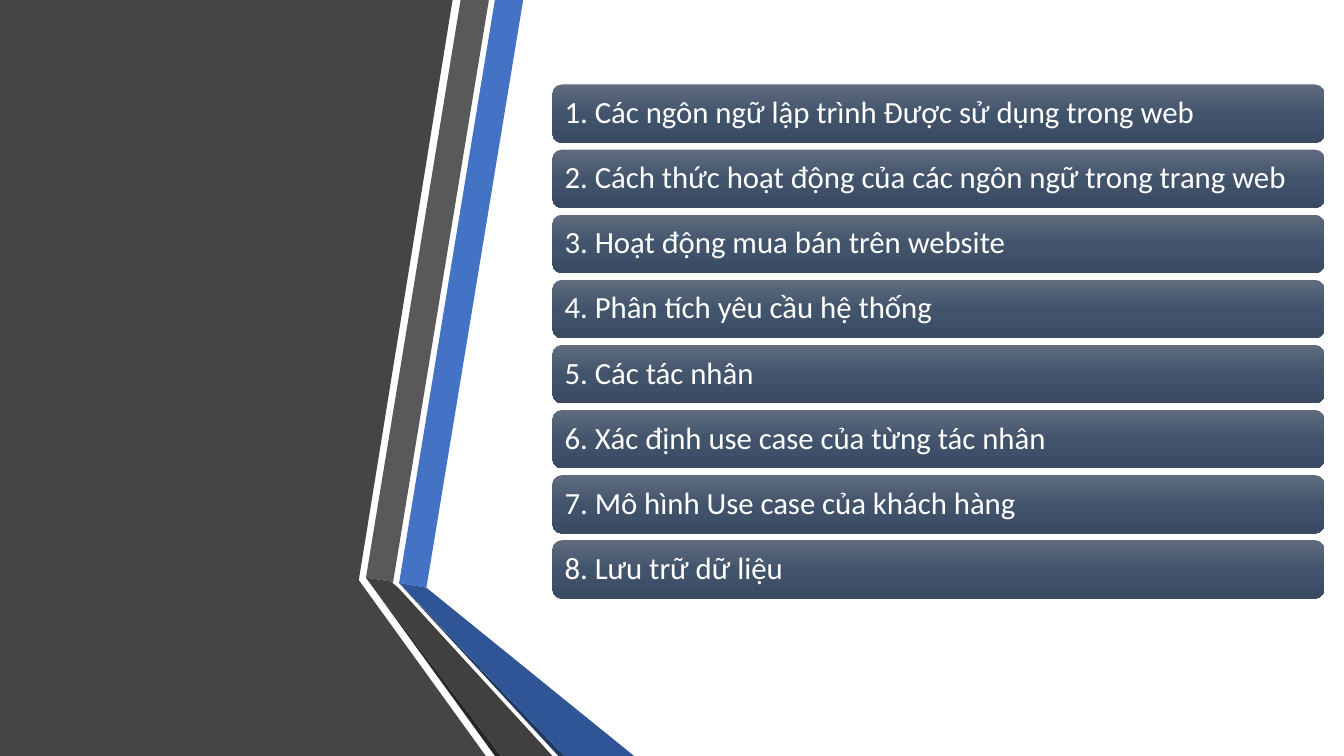
from copy import deepcopy

from pptx import Presentation
from pptx.dml.color import RGBColor
from pptx.enum.shapes import MSO_SHAPE
from pptx.enum.text import MSO_ANCHOR, PP_ALIGN
from pptx.oxml.ns import qn
from pptx.util import Pt

WHITE = RGBColor(0xFF, 0xFF, 0xFF)
PANEL_GREY = RGBColor(0x45, 0x45, 0x45)
BAND_GREY = RGBColor(0x59, 0x59, 0x59)
FOLD_GREY = RGBColor(0x40, 0x40, 0x40)
EDGE_GREY = RGBColor(0x26, 0x26, 0x26)
BAND_BLUE = RGBColor(0x44, 0x72, 0xC4)
FOLD_BLUE = RGBColor(0x2F, 0x55, 0x97)
EDGE_BLUE = RGBColor(0x20, 0x38, 0x64)
BAR_GRADIENT = [
    (0, RGBColor(0x60, 0x6B, 0x7D)),
    (0.5, RGBColor(0x42, 0x54, 0x6C)),
    (1, RGBColor(0x39, 0x4A, 0x62)),
]

# Outlines in points, from back to front
RIBBONS = [
    (PANEL_GREY, [(0, 0), (323.3, 0), (256.3, 414.4), (347, 540), (0, 540)]),
    (BAND_BLUE, [(285.1, 416.4), (304.6, 419.8), (373.7, 0), (353.5, 0)]),
    (BAND_GREY, [(349.2, 0), (329, 0), (261.4, 412.6), (280.8, 415.6)]),
    (EDGE_GREY, [(261.4, 412.6), (353.5, 540), (357.8, 540)]),
    (EDGE_BLUE, [(285.1, 416.6), (398.9, 540), (403.2, 540)]),
    (FOLD_BLUE, [(285.1, 416.4), (403.2, 540), (452.9, 540), (304.6, 419.8)]),
    (FOLD_GREY, [(261.4, 412.6), (357.8, 540), (394.6, 540), (284.4, 419.8),
                 (280.1, 416.2), (280.8, 415.6)]),
]

TOPICS = [
    "Các ngôn ngữ lập trình Được sử dụng trong web",
    "Cách thức hoạt động của các ngôn ngữ trong trang web",
    "Hoạt động mua bán trên website",
    "Phân tích yêu cầu hệ thống",
    "Các tác nhân",
    "Xác định use case của từng tác nhân",
    "Mô hình Use case của khách hàng",
    "Lưu trữ dữ liệu",
]
BAR_LEFT, BAR_TOP, BAR_WIDTH, BAR_HEIGHT = 394.6, 60.3, 551.5, 41.8
BAR_PITCH = 46.5


def write_text(shape, text, *, size, color, font, inset):
    frame = shape.text_frame
    frame.word_wrap = True
    frame.vertical_anchor = MSO_ANCHOR.MIDDLE
    frame.margin_left = frame.margin_right = Pt(inset)
    frame.margin_top = frame.margin_bottom = Pt(0)
    paragraph = frame.paragraphs[0]
    paragraph.alignment = PP_ALIGN.LEFT
    paragraph.line_spacing = 0.9
    run = paragraph.add_run()
    run.text = text
    run.font.size = Pt(size)
    run.font.name = font
    run.font.color.rgb = color


def fill_gradient(shape, stops):
    """Fill the shape from top to bottom with (position, colour) stops."""
    shape.fill.gradient()
    shape.fill.gradient_angle = 270
    stop_list = shape._element.spPr.find(qn("a:gradFill")).find(qn("a:gsLst"))
    while len(stop_list) < len(stops):
        stop_list.append(deepcopy(stop_list[0]))
    for stop, (position, color) in zip(shape.fill.gradient_stops, stops):
        stop.position = position
        stop.color.rgb = color


presentation = Presentation()
presentation.slide_width = Pt(960)
presentation.slide_height = Pt(540)
slide = presentation.slides.add_slide(presentation.slide_layouts[6])

for color, outline in RIBBONS:
    start, *corners = [(Pt(x), Pt(y)) for x, y in outline]
    builder = slide.shapes.build_freeform(*start)
    builder.add_line_segments(corners, close=True)
    ribbon = builder.convert_to_shape()
    ribbon.shadow.inherit = False
    ribbon.fill.solid()
    ribbon.fill.fore_color.rgb = color
    ribbon.line.fill.background()

for index, topic in enumerate(TOPICS):
    bar = slide.shapes.add_shape(
        MSO_SHAPE.ROUNDED_RECTANGLE, Pt(BAR_LEFT), Pt(BAR_TOP + index * BAR_PITCH),
        Pt(BAR_WIDTH), Pt(BAR_HEIGHT))
    bar.shadow.inherit = False
    bar.line.fill.background()
    fill_gradient(bar, BAR_GRADIENT)
    # The rounded corners add about 2 pt to the inset
    write_text(bar, f"{index + 1}. {topic}", size=22, color=WHITE,
               font="Calibri", inset=6.6)

presentation.save("out.pptx")
